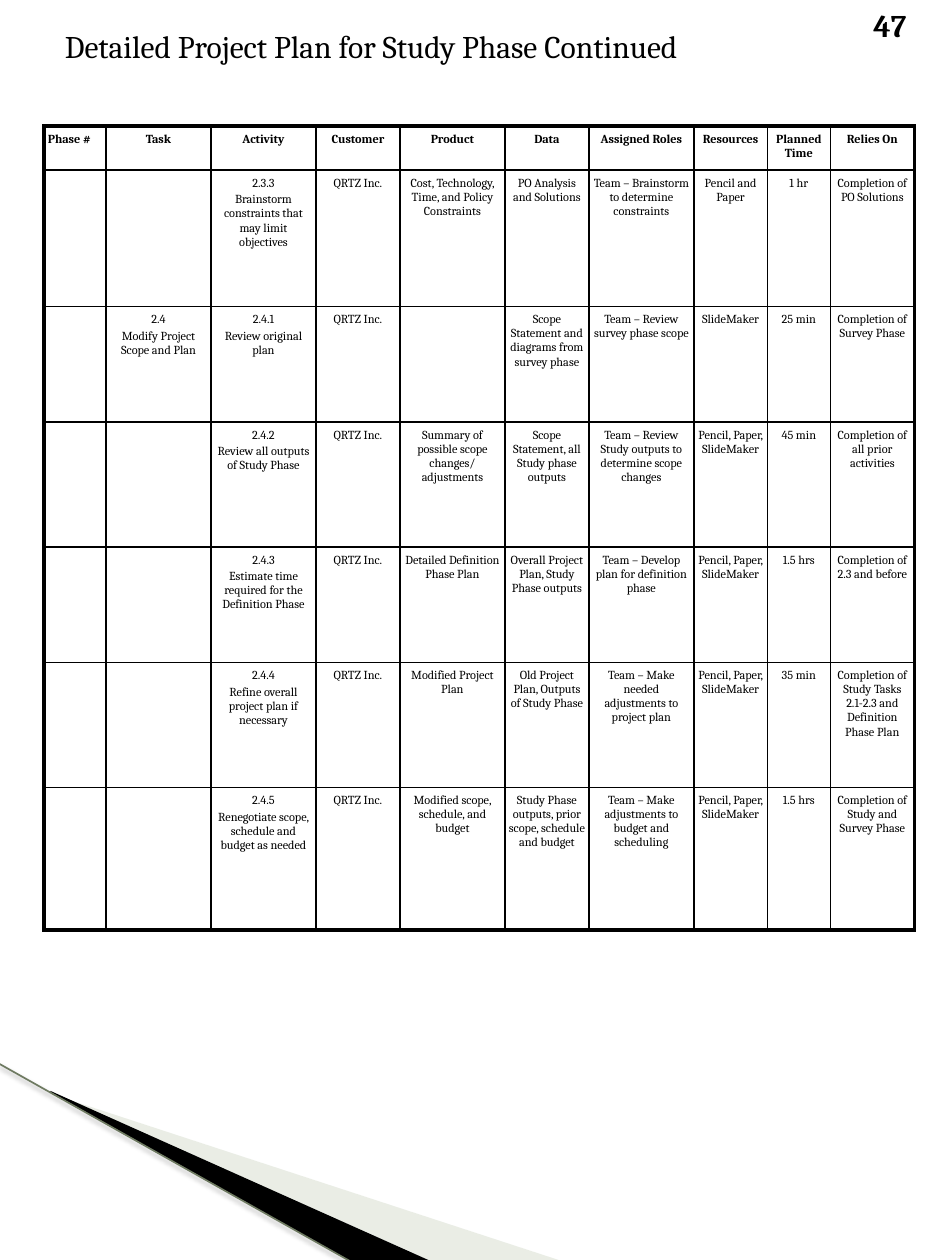
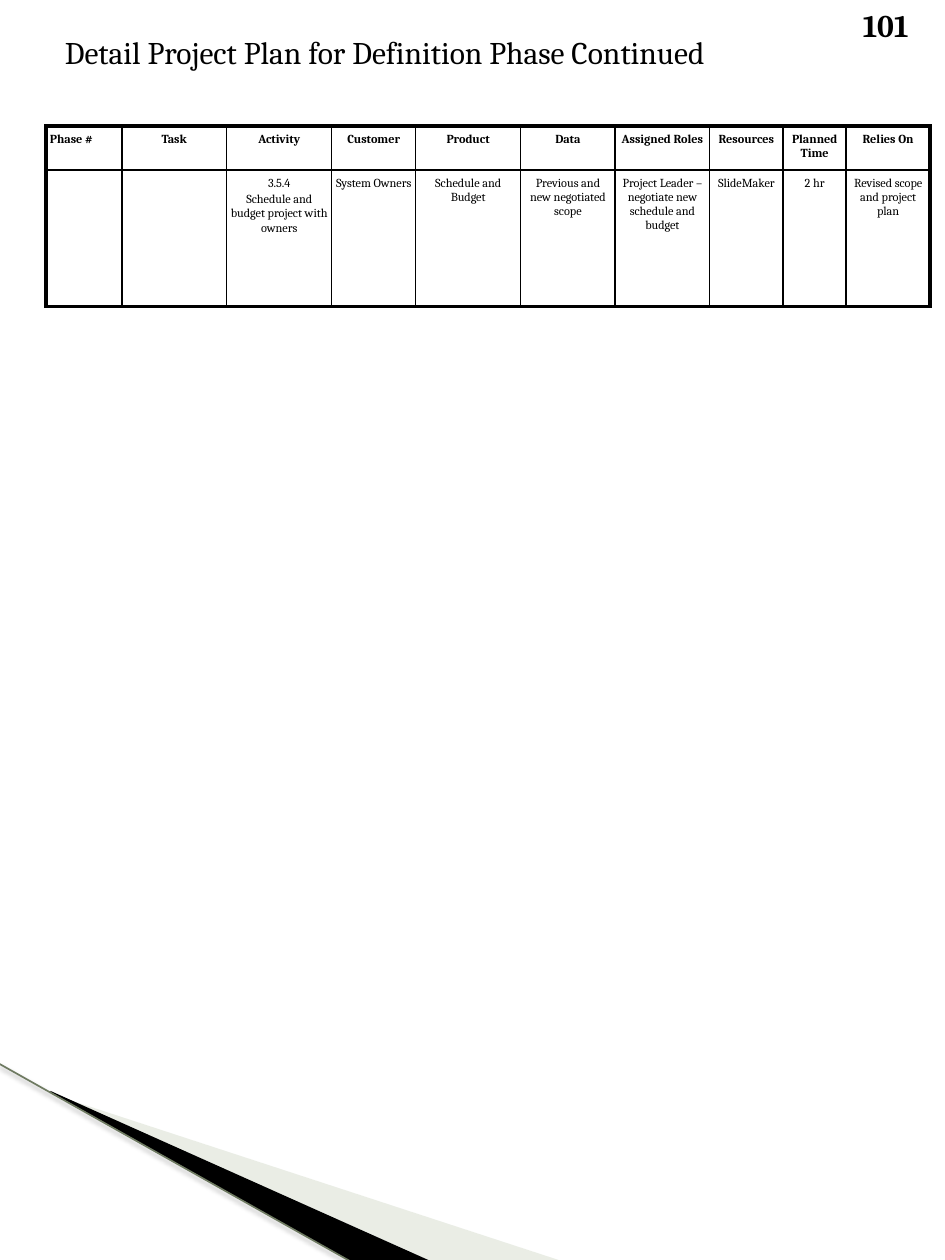
from dataclasses import dataclass

from lxml import etree
from pptx import Presentation
from pptx.dml.color import RGBColor
from pptx.enum.shapes import MSO_CONNECTOR as Conn
from pptx.enum.text import MSO_ANCHOR as Anchor, PP_ALIGN as Align
from pptx.oxml import parse_xml
from pptx.oxml.ns import nsdecls, qn
from pptx.util import Inches, Pt


@dataclass(frozen=True)
class Theme:
    font: str = "Cambria"
    ink: str = "000000"
    sage: str = "CBD4C0"
    olive: str = "6E7A61"
    title: int = 18
    cell: int = 7
    thin: float = 0.96
    thick: float = 2.21


T = Theme()

# The page is a grid of 90 columns by 120 rows
COLS, ROWS = 90, 120
PAGE_W, PAGE_H = Inches(7.5), Inches(10)

HEADER = ("Phase #", "Task", "Activity", "Customer", "Product", "Data",
          "Assigned Roles", "Resources", "Planned Time", "Relies On")
CUSTOMER = "QRTZ Inc."
PAPER_AND_SLIDES = "Pencil, Paper, SlideMaker"

STUDY_ROWS = [
    ("", "", "2.3.3\nBrainstorm constraints that may limit objectives", CUSTOMER,
     "Cost, Technology, Time, and Policy Constraints", "PO Analysis and Solutions",
     "Team – Brainstorm to determine constraints", "Pencil and Paper", "1 hr",
     "Completion of PO Solutions"),
    ("", "2.4\nModify Project Scope and Plan", "2.4.1\nReview original plan", CUSTOMER,
     "", "Scope Statement and diagrams from survey phase",
     "Team – Review survey phase scope", "SlideMaker", "25 min",
     "Completion of Survey Phase"),
    ("", "", "2.4.2\nReview all outputs of Study Phase", CUSTOMER,
     "Summary of possible scope changes/ adjustments",
     "Scope Statement, all Study phase outputs",
     "Team – Review Study outputs to determine scope changes", PAPER_AND_SLIDES,
     "45 min", "Completion of all prior activities"),
    ("", "", "2.4.3\nEstimate time required for the Definition Phase", CUSTOMER,
     "Detailed Definition Phase Plan", "Overall Project Plan, Study Phase outputs",
     "Team – Develop plan for definition phase", PAPER_AND_SLIDES, "1.5 hrs",
     "Completion of 2.3 and before"),
    ("", "", "2.4.4\nRefine overall project plan if necessary", CUSTOMER,
     "Modified Project Plan", "Old Project Plan, Outputs of Study Phase",
     "Team – Make needed adjustments to project plan", PAPER_AND_SLIDES, "35 min",
     "Completion of Study Tasks 2.1-2.3 and Definition Phase Plan"),
    ("", "", "2.4.5\nRenegotiate scope, schedule and budget as needed", CUSTOMER,
     "Modified scope, schedule, and budget",
     "Study Phase outputs, prior scope, schedule and budget",
     "Team – Make adjustments to budget and scheduling", PAPER_AND_SLIDES, "1.5 hrs",
     "Completion of Study and Survey Phase"),
]
DEFINITION_ROWS = [
    ("", "", "3.5.4\nSchedule and budget project with owners", "System Owners",
     "Schedule and Budget", "Previous and new negotiated scope",
     "Project Leader – negotiate new schedule and budget", "SlideMaker", "2 hr",
     "Revised scope and project plan"),
]


def gx(cols):
    return round(PAGE_W * cols / COLS)


def gy(rows):
    return round(PAGE_H * rows / ROWS)


def add_run(p, text, size, bold=False):
    r = p.add_run()
    r.text = text
    r.font.name = T.font
    r.font.size = Pt(size)
    r.font.bold = bold
    r.font.color.rgb = RGBColor.from_string(T.ink)


def add_label(s, text, x, y, w, h, bold=False):
    tf = s.shapes.add_textbox(gx(x), gy(y), gx(w), gy(h)).text_frame
    tf.word_wrap = True
    add_run(tf.paragraphs[0], text, T.title, bold)


# Corner band
def add_wedge(s, points, color, alpha=100):
    start, *rest = [(gx(x), gy(y)) for x, y in points]
    builder = s.shapes.build_freeform(*start, scale=1.0)
    builder.add_line_segments(rest, close=True)
    sp = builder.convert_to_shape()
    sp.shadow.inherit = False
    sp.fill.solid()
    sp.fill.fore_color.rgb = RGBColor.from_string(color)
    sp.line.fill.background()
    if alpha < 100:
        clr = sp.fill._xPr.find(".//" + qn("a:srgbClr"))
        etree.SubElement(clr, qn("a:alpha"), val=str(alpha * 1000))


def add_shadowed_line(s, x1, y1, x2, y2):
    line = s.shapes.add_connector(Conn.STRAIGHT, gx(x1), gy(y1), gx(x2), gy(y2))
    line.line.color.rgb = RGBColor.from_string(T.olive)
    line.line.width = Pt(T.thin)
    line._element.spPr.append(parse_xml(
        f'<a:effectLst {nsdecls("a")}><a:outerShdw blurRad="{Pt(3.1)}" '
        f'dist="{Pt(1.6)}" dir="5400000" algn="tl" rotWithShape="0">'
        f'<a:srgbClr val="{T.ink}"><a:alpha val="38000"/></a:srgbClr>'
        '</a:outerShdw></a:effectLst>'))


def add_corner_band(s):
    add_wedge(s, [(4.9, 104.2), (53.5, 120.1), (41, 120.1), (4.9, 104)], T.sage, 40)
    add_wedge(s, [(4.8, 103.9), (41, 120.1), (33.5, 120.2), (4.8, 104)], T.ink)
    add_shadowed_line(s, -0.1, 101.3, 33.5, 120.2)


# Plan table
def set_borders(cell, outer):
    tcPr = cell._tc.get_or_add_tcPr()
    for i, side in enumerate("LRTB"):
        width = Pt(T.thick if outer[side] else T.thin)
        tcPr.insert(i, parse_xml(
            f'<a:ln{side} {nsdecls("a")} w="{width}"><a:solidFill>'
            f'<a:srgbClr val="{T.ink}"/></a:solidFill></a:ln{side}>'))


def fill_cell(cell, text, align, bold):
    cell.fill.background()
    cell.vertical_anchor = Anchor.TOP
    cell.margin_left = cell.margin_right = Inches(0.03)
    cell.margin_top = cell.margin_bottom = Inches(0.05)
    tf = cell.text_frame
    for i, line in enumerate(text.splitlines()):
        p = tf.add_paragraph() if i else tf.paragraphs[0]
        p.alignment = align
        if i:
            p.space_before = Pt(1.4)
        add_run(p, line, T.cell, bold)


def add_plan_table(s, x, y, widths, heights, body):
    rows = [HEADER, *body]
    last_row, last_col = len(rows) - 1, len(HEADER) - 1
    table = s.shapes.add_table(len(rows), len(HEADER), gx(x), gy(y),
                               gx(sum(widths)), gy(sum(heights))).table
    table.first_row = table.horz_banding = False
    for col, w in zip(table.columns, widths):
        col.width = gx(w)
    for row, h in zip(table.rows, heights):
        row.height = gy(h)
    for i, texts in enumerate(rows):
        for j, text in enumerate(texts):
            cell = table.cell(i, j)
            align = Align.CENTER if j else Align.LEFT
            fill_cell(cell, text, align, bold=i == 0)
            set_borders(cell, {"L": j == 0, "R": j == last_col,
                               "T": i == 0, "B": i == last_row})


def add_plan_slide(prs):
    s = prs.slides.add_slide(prs.slide_layouts[6])
    add_corner_band(s)
    return s


def main():
    prs = Presentation()
    prs.slide_width, prs.slide_height = PAGE_W, PAGE_H

    # Study phase
    s = add_plan_slide(prs)
    add_label(s, "Detailed Project Plan for Study Phase Continued", 5, 2, 75, 8.4)
    add_plan_table(s, 4.2, 12, (5.9, 10, 10, 8, 10, 8, 10, 7, 6, 8),
                   (4.2, 13, 11, 11.9, 11, 11.9, 13.6), STUDY_ROWS)
    add_label(s, "47", 82, 0, 7, 4.8, bold=True)

    # Definition phase
    s = add_plan_slide(prs)
    add_label(s, "Detail Project Plan for Definition Phase Continued", 5, 2.6, 76, 8.4)
    add_plan_table(s, 4.4, 12, (7.2, 10, 10, 8, 10, 9, 9, 7, 6, 8),
                   (4.2, 13), DEFINITION_ROWS)
    add_label(s, "101", 81, 0, 9.8, 4.8, bold=True)

    prs.save("out.pptx")


if __name__ == "__main__":
    main()
